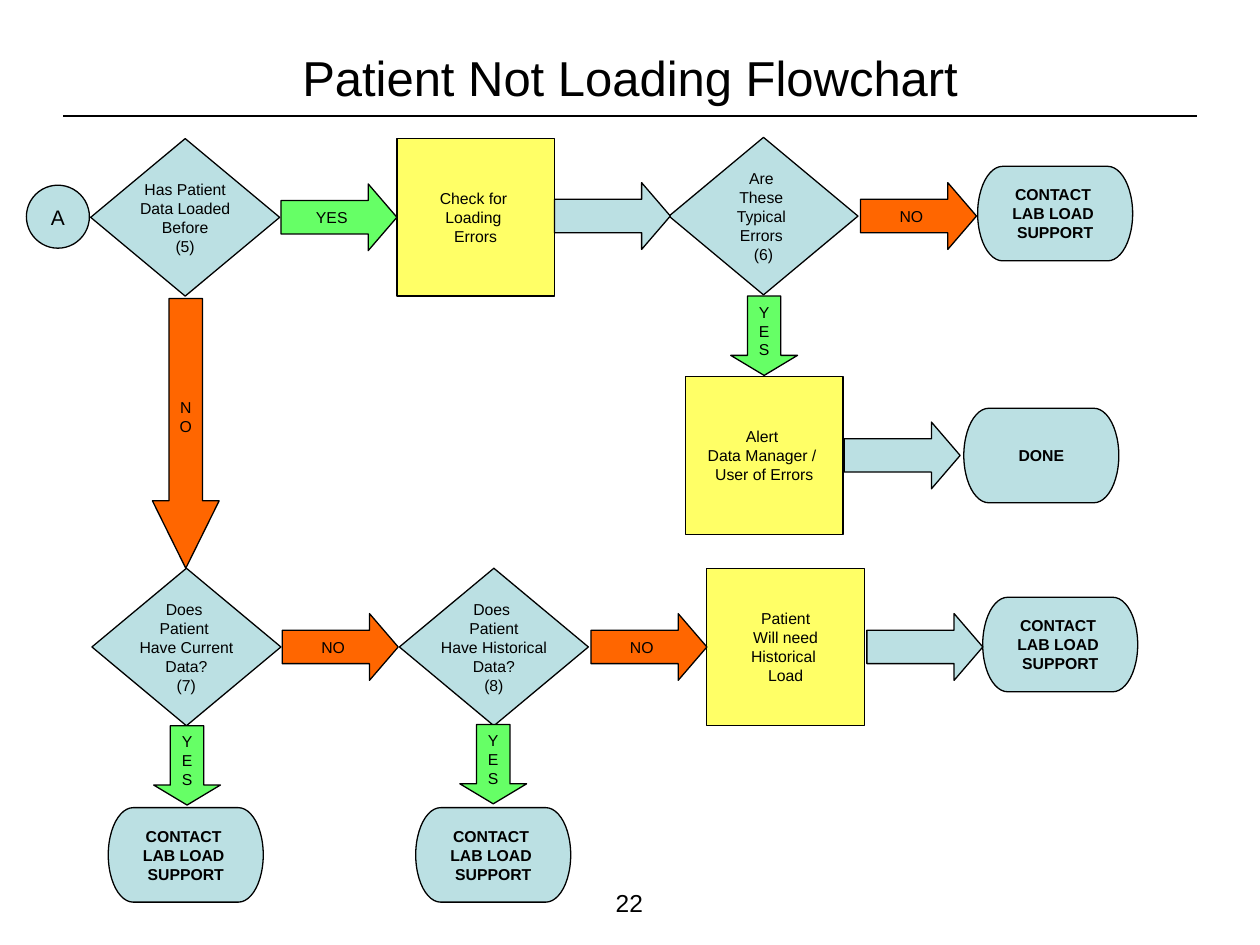
from pptx import Presentation
from pptx.dml.color import RGBColor
from pptx.enum.shapes import MSO_CONNECTOR, MSO_SHAPE
from pptx.enum.text import MSO_ANCHOR, PP_ALIGN
from pptx.oxml.ns import qn
from pptx.util import Inches, Pt
from lxml import etree

DECISION = MSO_SHAPE.FLOWCHART_DECISION
PROCESS = MSO_SHAPE.FLOWCHART_PROCESS
TERMINATOR = MSO_SHAPE.FLOWCHART_TERMINATOR
CIRCLE = MSO_SHAPE.FLOWCHART_CONNECTOR
RIGHT_ARROW = MSO_SHAPE.RIGHT_ARROW
DOWN_ARROW = MSO_SHAPE.DOWN_ARROW
STRAIGHT = MSO_CONNECTOR.STRAIGHT
CENTER = PP_ALIGN.CENTER
MIDDLE = MSO_ANCHOR.MIDDLE
TOP = MSO_ANCHOR.TOP

BLACK = RGBColor(0x00, 0x00, 0x00)
BLUE = RGBColor(0xBB, 0xE0, 0xE3)
YELLOW = RGBColor(0xFF, 0xFF, 0x66)
GREEN = RGBColor(0x66, 0xFF, 0x66)
ORANGE = RGBColor(0xFF, 0x66, 0x00)

CONTACT = "CONTACT \nLAB LOAD \nSUPPORT"


class Flowchart:
    font_name = "Arial"
    text_size = 9
    line_width = 0.75

    def __init__(self, slide):
        self.slide = slide

    def label(self, shape, text, size=text_size, bold=False, anchor=MIDDLE, wrap=False):
        frame = shape.text_frame
        frame.text = text
        frame.word_wrap = wrap
        frame.vertical_anchor = anchor
        for paragraph in frame.paragraphs:
            paragraph.alignment = CENTER
            for run in paragraph.runs:
                run.font.name = self.font_name
                run.font.size = Pt(size)
                run.font.bold = bold
                run.font.color.rgb = BLACK

    def title(self, text, left, top, width, height):
        title = self.slide.shapes.title
        title.left, title.top = Inches(left), Inches(top)
        title.width, title.height = Inches(width), Inches(height)
        self.label(title, text, size=28, wrap=True)

    def rule(self, left, right, y):
        rule = self.slide.shapes.add_connector(
            STRAIGHT, Inches(left), Inches(y), Inches(right), Inches(y))
        rule.line.color.rgb = BLACK
        rule.line.width = Pt(1.25)
        etree.SubElement(rule._element.spPr, qn("a:effectLst"))

    def box(self, kind, left, top, width, height, fill):
        shape = self.slide.shapes.add_shape(
            kind, Inches(left), Inches(top), Inches(width), Inches(height))
        shape.shadow.inherit = False
        shape.fill.solid()
        shape.fill.fore_color.rgb = fill
        shape.line.color.rgb = BLACK
        shape.line.width = Pt(self.line_width)
        return shape

    def decision(self, left, top, text):
        self.label(self.box(DECISION, left, top, 1.5, 1.25, BLUE), text)

    def process(self, left, top, text):
        self.label(self.box(PROCESS, left, top, 1.25, 1.25, YELLOW), text)

    def terminator(self, left, top, text):
        self.label(self.box(TERMINATOR, left, top, 1.23, 0.75, BLUE), text, bold=True)

    def connector(self, left, top, text):
        self.label(self.box(CIRCLE, left, top, 0.5, 0.5, BLUE), text, size=12)

    def right_arrow(self, left, top, fill, text=""):
        arrow = self.box(RIGHT_ARROW, left, top, 0.92, 0.53, fill)
        arrow.adjustments[1] = 0.43
        if text:
            self.label(arrow, text)

    def down_arrow(self, left, top, fill, text, height=0.63, head=0.3):
        arrow = self.box(DOWN_ARROW, left, top, 0.53, height, fill)
        arrow.adjustments[1] = head
        frame = arrow.text_frame
        frame.margin_left = frame.margin_right = Inches(0.05)
        self.label(arrow, "\n".join(text))

    def page_number(self, text, left, top, width, height):
        box = self.slide.shapes.add_textbox(
            Inches(left), Inches(top), Inches(width), Inches(height))
        self.label(box, text, size=14, anchor=TOP, wrap=True)


def main():
    presentation = Presentation()
    presentation.slide_width = Inches(10)
    presentation.slide_height = Inches(7.5)
    chart = Flowchart(presentation.slides.add_slide(presentation.slide_layouts[5]))

    chart.title("Patient Not Loading Flowchart", 0.5, 0.3, 9, 0.62)
    chart.rule(0.5, 9.5, 0.92)
    chart.connector(0.21, 1.47, "A")

    for left, top, text in (
        (0.72, 1.1, "Has Patient\nData Loaded\nBefore\n(5)"),
        (5.31, 1.09, "Are \nThese \nTypical \nErrors \n(6)"),
        (0.73, 4.51, "Does \nPatient \nHave Current\nData?\n(7)"),
        (3.17, 4.51, "Does \nPatient\nHave Historical\nData?\n(8)"),
    ):
        chart.decision(left, top, text)

    for left, top, text in (
        (3.15, 1.1, "Check for \nLoading \nErrors"),
        (5.44, 2.99, "Alert \nData Manager / \nUser of Errors"),
        (5.61, 4.51, "Patient\nWill need\nHistorical \nLoad"),
    ):
        chart.process(left, top, text)

    for left, top, text in (
        (7.76, 1.32, CONTACT),
        (7.65, 3.24, "DONE"),
        (7.8, 4.74, CONTACT),
        (0.86, 6.41, CONTACT),
        (3.3, 6.41, CONTACT),
    ):
        chart.terminator(left, top, text)

    for left, top, fill, text in (
        (2.23, 1.46, GREEN, "YES"),
        (4.4, 1.45, BLUE, ""),
        (6.83, 1.45, ORANGE, "NO"),
        (6.7, 3.35, BLUE, ""),
        (2.24, 4.87, ORANGE, "NO"),
        (4.69, 4.87, ORANGE, "NO"),
        (6.88, 4.87, BLUE, ""),
    ):
        chart.right_arrow(left, top, fill, text)

    for left, top in ((5.8, 2.35), (1.22, 5.76), (3.65, 5.75)):
        chart.down_arrow(left, top, GREEN, "YES")
    chart.down_arrow(1.21, 2.37, ORANGE, "NO", height=2.14, head=1.01)

    chart.page_number("22", 3.83, 7, 2.33, 0.35)
    presentation.save("out.pptx")


if __name__ == "__main__":
    main()
